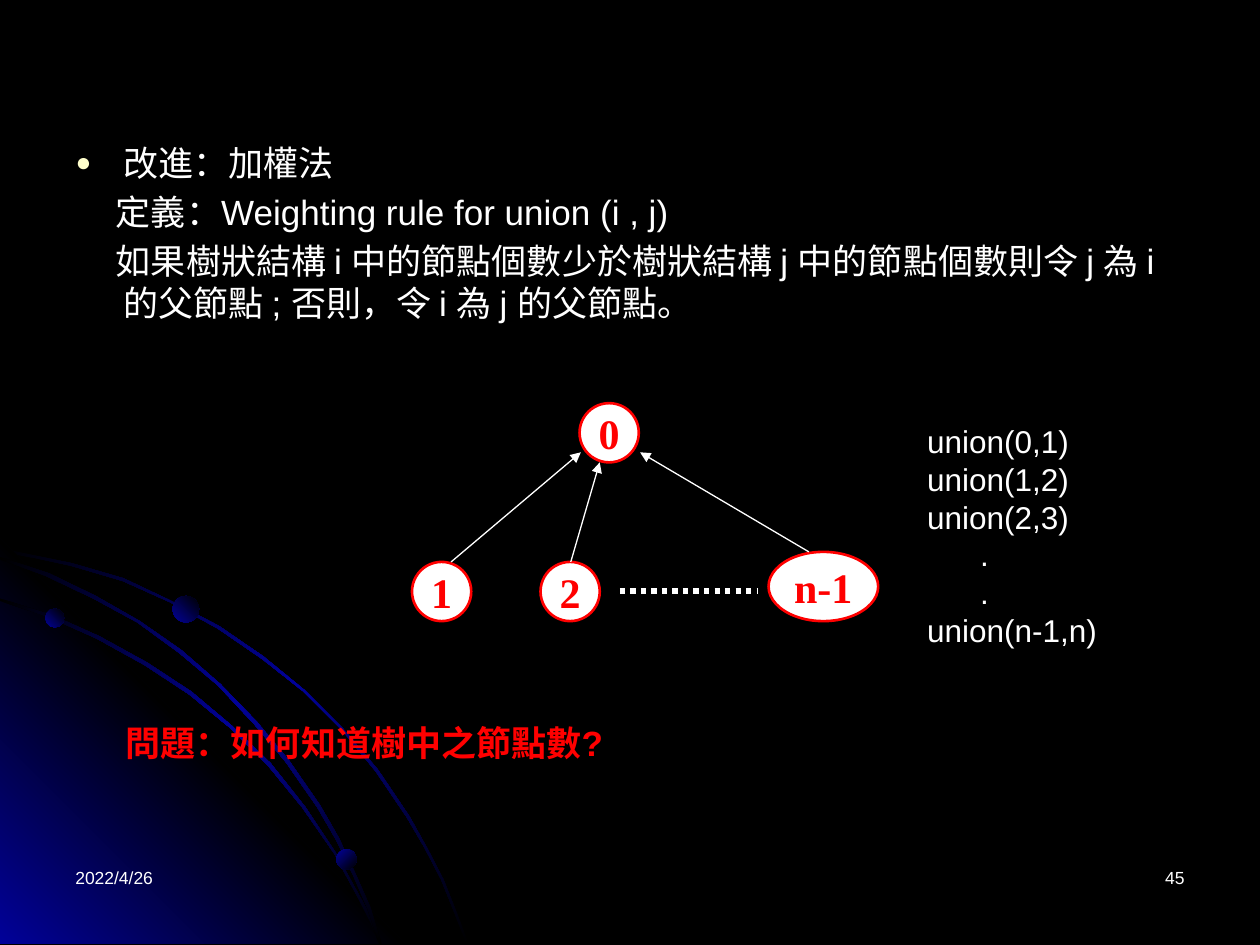
from lxml.etree import SubElement
from pptx import Presentation
from pptx.dml.color import RGBColor
from pptx.enum.dml import MSO_LINE_DASH_STYLE as Dash
from pptx.enum.shapes import MSO_CONNECTOR_TYPE as Connector
from pptx.enum.shapes import MSO_SHAPE as Shape
from pptx.enum.text import MSO_ANCHOR as Anchor
from pptx.enum.text import MSO_AUTO_SIZE as AutoSize
from pptx.enum.text import PP_ALIGN as Align
from pptx.oxml.ns import qn
from pptx.util import Inches, Pt

WHITE, RED, BLACK, BLUE = "FFFFFF", "FF0000", "000000", "010199"
GLOW = [(0, BLACK), (50, BLUE), (100, BLACK)]

WEDGE = [(3.22, 7.49), (0, 7.49), (0, 4.27)]
ARCS = [
    [(0.57, 4.47), (0.28, 4.41), (0, 4.35), (0, 4.38), (0.28, 4.43), (0.56, 4.49),
     (0.97, 4.61), (1.35, 4.78), (1.73, 4.99), (2.08, 5.23), (2.41, 5.49), (2.71, 5.79),
     (2.98, 6.12), (3.23, 6.49), (3.37, 6.73), (3.5, 6.98), (3.6, 7.23), (3.7, 7.49),
     (3.72, 7.49), (3.62, 7.23), (3.52, 6.98), (3.39, 6.73), (3.25, 6.48), (3, 6.11),
     (2.72, 5.78), (2.42, 5.48), (2.09, 5.21), (1.74, 4.97), (1.36, 4.77), (0.98, 4.59)],
    [(2.85, 7.14), (2.94, 7.32), (3.01, 7.49), (3.03, 7.49), (2.96, 7.3), (2.86, 7.12),
     (2.66, 6.76), (2.42, 6.4), (2.15, 6.06), (1.84, 5.76), (1.52, 5.49), (1.17, 5.26),
     (0.79, 5.05), (0.41, 4.88), (0, 4.75), (0, 4.77), (0.39, 4.9), (0.77, 5.07),
     (1.15, 5.28), (1.5, 5.51), (1.83, 5.78), (2.13, 6.08), (2.4, 6.41), (2.65, 6.77)],
    [(0, 4.42), (0, 4.44), (0.36, 4.57), (0.74, 4.75), (1.09, 4.94), (1.42, 5.18),
     (1.73, 5.44), (2.02, 5.75), (2.27, 6.05), (2.52, 6.41), (2.67, 6.67), (2.8, 6.94),
     (2.92, 7.22), (3.01, 7.49), (3.03, 7.49), (2.94, 7.2), (2.82, 6.93), (2.69, 6.65),
     (2.54, 6.39), (2.29, 6.03), (2.04, 5.73), (1.75, 5.43), (1.44, 5.16), (1.11, 4.93),
     (0.76, 4.73), (0.39, 4.55)],
]


def color(value):
    return RGBColor.from_string(value)


def write(paragraph, text, size=20, font="Arial", fill=WHITE, bold=False, align=None):
    paragraph.text = text
    paragraph.alignment = align
    paragraph.font.size = Pt(size)
    paragraph.font.name = font
    paragraph.font.bold = bold
    paragraph.font.color.rgb = color(fill)


def indent(paragraph, margin, first):
    properties = paragraph._p.get_or_add_pPr()
    properties.set("marL", str(Inches(margin)))
    properties.set("indent", str(Inches(first)))
    return properties


def add_bullet(properties):
    bullet_color = SubElement(properties, qn("a:buClr"))
    SubElement(bullet_color, qn("a:srgbClr"), val="FFFFCC")
    SubElement(properties, qn("a:buSzPct"), val="75000")
    SubElement(properties, qn("a:buFont"), typeface="Arial")
    SubElement(properties, qn("a:buChar"), char="●")


def paint_gradient(shape, stops, angle):
    shape.shadow.inherit = False
    shape.line.fill.background()
    shape.fill.gradient()
    shape.fill.gradient_angle = angle
    stop_list = shape._element.spPr.find(qn("a:gradFill")).find(qn("a:gsLst"))
    stop_list.clear()
    for position, value in stops:
        stop = SubElement(stop_list, qn("a:gs"), pos=str(position * 1000))
        SubElement(stop, qn("a:srgbClr"), val=value)


def add_outline(slide, points, stops, angle):
    corners = [(Inches(x), Inches(y)) for x, y in points]
    builder = slide.shapes.build_freeform(*corners[0], scale=1.0)
    builder.add_line_segments(corners[1:], close=True)
    paint_gradient(builder.convert_to_shape(), stops, angle)


def add_dot(slide, left, top, size, angle):
    dot = slide.shapes.add_shape(
        Shape.OVAL, Inches(left), Inches(top), Inches(size), Inches(size))
    paint_gradient(dot, [(0, BLUE), (100, BLACK)], angle)


def add_text(slide, left, top, width, height, lines, wrap=True, **style):
    box = slide.shapes.add_textbox(Inches(left), Inches(top), Inches(width), Inches(height))
    frame = box.text_frame
    frame.word_wrap = wrap
    for index, line in enumerate(lines):
        paragraph = frame.add_paragraph() if index else frame.paragraphs[0]
        if line == ".":
            indent(paragraph, 0.42, 0)
        write(paragraph, line, **style)


def add_node(slide, label, left, top, width=0.47, height=0.47):
    node = slide.shapes.add_shape(
        Shape.FLOWCHART_CONNECTOR, Inches(left), Inches(top), Inches(width), Inches(height))
    node.shadow.inherit = False
    node.fill.solid()
    node.fill.fore_color.rgb = color(WHITE)
    node.line.color.rgb = color(RED)
    node.line.width = Pt(1.5)
    node.text_frame.word_wrap = False
    node.text_frame.vertical_anchor = Anchor.MIDDLE
    write(node.text_frame.paragraphs[0], label, size=24, font="Times New Roman",
          fill=RED, bold=True, align=Align.CENTER)


def add_line(slide, start, end, width=0.75, arrow=True):
    line = slide.shapes.add_connector(
        Connector.STRAIGHT, *[Inches(value) for value in start + end])
    line.line.color.rgb = color(WHITE)
    line.line.width = Pt(width)
    if arrow:
        SubElement(line.line._get_or_add_ln(), qn("a:tailEnd"), type="triangle")
    else:
        line.line.dash_style = Dash.ROUND_DOT
    SubElement(line._element.spPr, qn("a:effectLst"))


def add_decoration(slide):
    add_outline(slide, ARCS[0], GLOW, 315)
    add_outline(slide, WEDGE, [(0, BLUE), (50, BLACK), (100, BLUE)], 45)
    for arc in ARCS[1:]:
        add_outline(slide, arc, GLOW, 315)
    add_dot(slide, 0.36, 4.83, 0.15, 45)
    add_dot(slide, 2.67, 6.74, 0.16, 315)
    add_dot(slide, 1.37, 4.73, 0.21, 45)


def fill_body(body):
    body.left, body.top = Inches(0.5), Inches(1.07)
    body.width, body.height = Inches(9), Inches(1.81)
    frame = body.text_frame
    frame.auto_size = AutoSize.NONE
    frame.word_wrap = True
    lines = [
        "改進：加權法",
        "定義：Weighting rule for union (i , j)",
        "如果樹狀結構 i 中的節點個數少於樹狀結構 j 中的節點個數則令 j "
        "為 i的父節點 ; 否則，令 i 為 j 的父節點。",
    ]
    for index, line in enumerate(lines):
        paragraph = frame.add_paragraph() if index else frame.paragraphs[0]
        paragraph.space_before = Pt(4 if index else 0)
        if index:
            SubElement(indent(paragraph, 0.38, -0.06), qn("a:buNone"))
        else:
            add_bullet(indent(paragraph, 0.38, -0.38))
        write(paragraph, line)


def add_tree(slide):
    add_node(slide, "0", 4.6, 3.2)
    add_node(slide, "1", 3.27, 4.46)
    add_node(slide, "2", 4.29, 4.46)
    add_node(slide, "n-1", 6.1, 4.38, 0.87, 0.55)
    add_line(slide, (3.58, 4.46), (4.61, 3.59))
    add_line(slide, (4.53, 4.46), (4.76, 3.67))
    add_line(slide, (6.42, 4.38), (5.08, 3.59))
    add_line(slide, (4.92, 4.69), (6.02, 4.69), width=3, arrow=False)


def main():
    presentation = Presentation()
    presentation.slide_width, presentation.slide_height = Inches(10), Inches(7.5)
    slide = presentation.slides.add_slide(presentation.slide_layouts[1])
    slide.background.fill.solid()
    slide.background.fill.fore_color.rgb = color(BLACK)
    title = slide.shapes.title._element
    title.getparent().remove(title)
    add_decoration(slide)
    fill_body(slide.placeholders[1])
    add_text(slide, 0.5, 6.83, 2.33, 0.5, ["2022/4/26"], size=10)
    add_text(slide, 7.17, 6.83, 2.33, 0.5, ["45"], size=10, align=Align.RIGHT)
    add_tree(slide)
    add_text(slide, 0.9, 5.68, 4.09, 0.44, ["問題：如何知道樹中之節點數?"],
             wrap=False, fill=RED, bold=True)
    calls = ["union(0,1)", "union(1,2)", "union(2,3)", ".", ".", "union(n-1,n)"]
    add_text(slide, 7.26, 3.3, 1.56, 1.92, calls, wrap=False, size=18)
    presentation.save("out.pptx")


if __name__ == "__main__":
    main()
